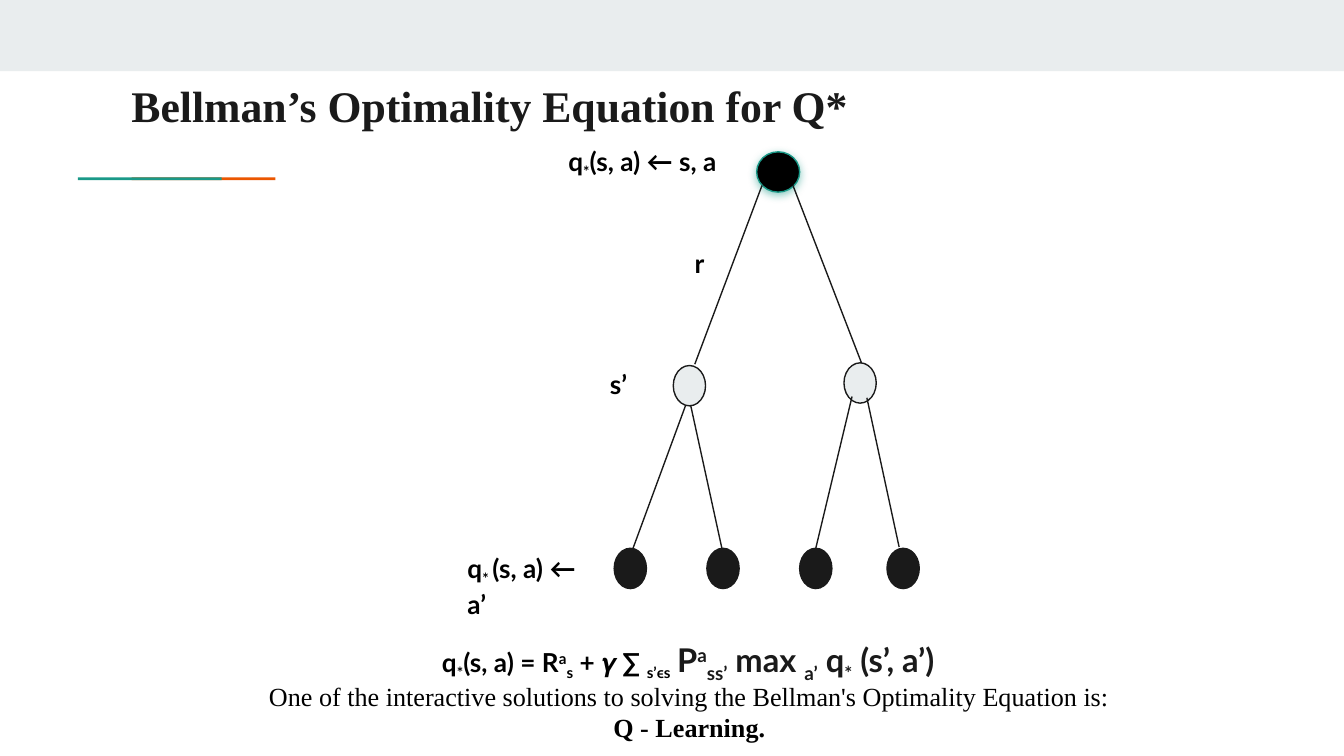
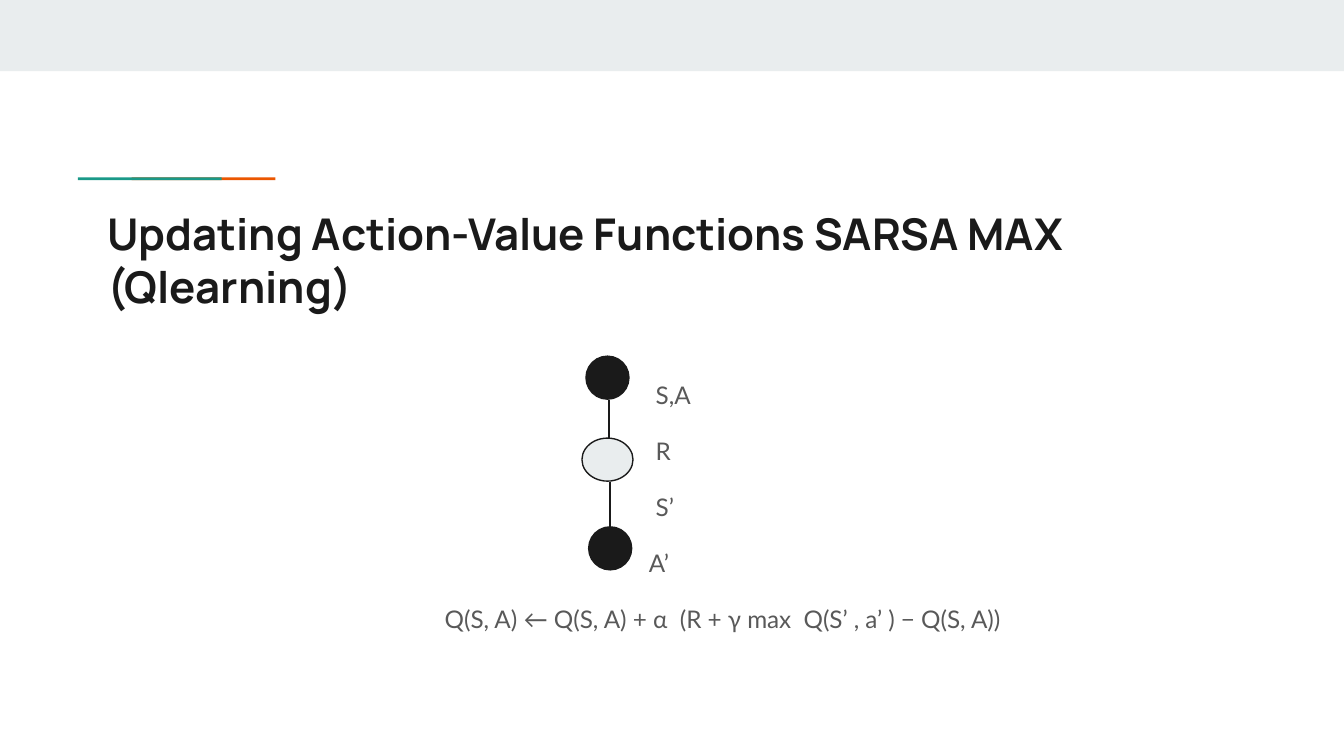
from lxml.etree import SubElement
from pptx import Presentation
from pptx.dml.color import RGBColor
from pptx.enum.shapes import MSO_CONNECTOR, MSO_SHAPE
from pptx.enum.text import PP_ALIGN
from pptx.oxml import parse_xml
from pptx.oxml.ns import nsdecls, qn
from pptx.util import Inches, Pt

WHITE = RGBColor(0xFF, 0xFF, 0xFF)
BLACK = RGBColor(0x00, 0x00, 0x00)
INK = RGBColor(0x1A, 0x1A, 0x1A)
GREY = RGBColor(0x59, 0x59, 0x59)
MIST = RGBColor(0xE9, 0xED, 0xEE)
TEAL = RGBColor(0x1A, 0x99, 0x88)
ORANGE = RGBColor(0xEB, 0x56, 0x00)
SANS, SERIF, DISPLAY = "Lato", "Times New Roman", "Manrope"
SUB, SUPER = -25, 30


def add_block(page, kind, box, fill, line=None):
    """Add a filled preset shape without a shadow."""
    shape = page.shapes.add_shape(kind, *map(Inches, box))
    shape.shadow.inherit = False
    shape.fill.solid()
    shape.fill.fore_color.rgb = fill
    if line is None:
        shape.line.fill.background()
    else:
        shape.line.color.rgb = line
        shape.line.width = Pt(0.75)
    return shape


def add_line(page, start, end, origin, width=0.75):
    """Add a straight line between two points relative to the origin."""
    points = [Inches(base + offset) for point in (start, end)
              for base, offset in zip(origin, point)]
    line = page.shapes.add_connector(MSO_CONNECTOR.STRAIGHT, *points)
    line.line.color.rgb = INK
    line.line.width = Pt(width)
    SubElement(line._element.spPr, qn("a:effectLst"))


def add_frame(page, box):
    """Add a wrapping text box with even insets and return its text frame."""
    frame = page.shapes.add_textbox(*map(Inches, box)).text_frame
    frame.word_wrap = True
    frame.margin_left = frame.margin_right = Inches(0.1)
    frame.margin_top = frame.margin_bottom = Inches(0.1)
    return frame


def add_span(para, text, size=14, font=SANS, color=BLACK, bold=True, baseline=0):
    """Append one formatted run to a paragraph."""
    span = para.add_run()
    span.text = text
    span.font.size = Pt(size)
    span.font.name = font
    span.font.bold = bold
    span.font.color.rgb = color
    if baseline:
        span._r.get_or_add_rPr().set("baseline", str(baseline * 1000))


def add_formula(para, parts, **style):
    """Append runs given as pairs of text and baseline shift."""
    for text, baseline in parts:
        add_span(para, text, baseline=baseline, **style)


def add_page(deck, title, box, font):
    """Add a slide with the top band, the two-colour accent and a title."""
    page = deck.slides.add_slide(deck.slide_layouts[6])
    page.background.fill.solid()
    page.background.fill.fore_color.rgb = WHITE
    add_block(page, MSO_SHAPE.RECTANGLE, (0, 0, 10, 0.53), MIST)
    for left, color in ((0.98, ORANGE), (0.58, TEAL)):
        add_block(page, MSO_SHAPE.RECTANGLE, (left, 1.32, 1.07, 0.02), color)
    para = add_frame(page, box).paragraphs[0]
    add_span(para, title, 23.4, font, INK)
    return page


def add_glow(shape):
    """Give a shape a soft teal shadow below it."""
    effects = shape._element.spPr.find(qn("a:effectLst"))
    effects.append(parse_xml(
        f'<a:outerShdw {nsdecls("a")} blurRad="57150" dist="19050" dir="5400000" '
        f'algn="bl" rotWithShape="0"><a:srgbClr val="{TEAL}">'
        '<a:alpha val="50000"/></a:srgbClr></a:outerShdw>'))


def add_backup_tree(page, origin):
    """Draw the root, the two states and the four actions from the origin."""
    left, top = origin

    def node(x, y, fill, line=INK, width=0.24):
        """Add one round node."""
        box = (left + x, top + y, width, 0.3)
        return add_block(page, MSO_SHAPE.FLOWCHART_CONNECTOR, box, fill, line)

    add_glow(node(1.06, 0, BLACK, TEAL, 0.32))
    for x, y in ((0.44, 1.59), (1.71, 1.57)):
        node(x, y, MIST)
    edges = (((1.1, 0.25), (0.6, 1.58)), ((1.33, 0.25), (1.84, 1.57)),
             ((0.53, 1.89), (0.14, 2.95)), ((0.57, 1.89), (0.81, 2.99)),
             ((1.77, 1.82), (1.5, 2.95)), ((1.88, 1.83), (2.12, 2.94)))
    for start, end in edges:
        add_line(page, start, end, origin)
    for x in (0, 0.69, 1.38, 2.03):
        node(x, 2.95, INK)


def add_tree_labels(page, origin):
    """Name the levels of the tree beside its left edge."""
    labels = (
        ((0.75, 0, 1.41, 0.44), (("q", 0), ("*", SUB), ("(s, a) ← s, a", 0))),
        ((1.69, 0.76, 0.48, 0.44), (("r", 0),)),
        ((1.06, 1.66, 0.5, 0.44), (("s’", 0),)),
        ((0, 3.03, 1.14, 0.44), (("q", 0), ("* ", SUB), ("(s, a) ← a’", 0))),
    )
    for (x, y, width, height), parts in labels:
        frame = add_frame(page, (origin[0] + x, origin[1] + y, width, height))
        add_formula(frame.paragraphs[0], parts)


def add_optimality_equation(page, box):
    """Write the equation for the optimal action value."""
    para = add_frame(page, box).paragraphs[0]
    add_formula(para, (("q", 0), ("*", SUB), ("(s, a) = R", 0), ("a", SUPER),
                       ("s", SUB), (" + 𝜸 ∑ ", 0), ("s’ϵs", SUB), (" ", 0)))
    add_formula(para, (("P", 0), ("a", SUPER), ("ss’", SUB), (" max ", 0),
                       ("a’", SUB), (" q", 0), ("*", SUB), (" (s’, a’)", 0)),
                size=17.5, color=INK)


def add_closing_note(page, box):
    """Write the centred remark at the foot of the slide."""
    frame = add_frame(page, box)
    first, second = frame.paragraphs[0], frame.add_paragraph()
    first.alignment = second.alignment = PP_ALIGN.CENTER
    add_span(first, "One of the interactive solutions to solving the Bellman's "
             "Optimality Equation is:", font=SERIF, bold=False)
    add_span(second, "Q - Learning.", font=SERIF)


def add_update_chain(page, origin):
    """Draw the chain of action, state and next action from the origin."""
    left, top = origin
    for x, y, width, fill in ((0.03, 0, 0.32, INK), (0, 0.61, 0.38, MIST),
                              (0.05, 1.27, 0.32, INK)):
        box = (left + x, top + y, width, 0.32)
        add_block(page, MSO_SHAPE.OVAL, box, fill, INK)
    for x, start, end in ((0.2, 0.33, 0.61), (0.21, 0.94, 1.27)):
        add_line(page, (x, start), (x, end), origin, 1.25)


def add_update_text(page, box):
    """Write the chain labels and the update rule as indented lines."""
    frame = add_frame(page, box)
    lines = ((4.24, "S,A"), (4.24, "R"), (4.24, "S’"), (4.19, "A’"),
             (2.67, "Q(S, A) ← Q(S, A) + α  (R + γ max  Q(S’ , a’ ) − Q(S, A))"))
    for index, (indent, text) in enumerate(lines):
        para = frame.add_paragraph() if index else frame.paragraphs[0]
        para.line_spacing = 1.15
        para.space_before = Pt(12 if index else 0)
        para._p.get_or_add_pPr().set("marL", str(Inches(indent)))
        add_span(para, text, 13, color=GREY, bold=False)


def build_optimality_page(deck):
    """Build the slide on the optimality equation."""
    page = add_page(deck, "Bellman’s Optimality Equation for Q*",
                    (0.88, 0.49, 9.89, 0.54), SERIF)
    add_backup_tree(page, (4.57, 1.13))
    add_tree_labels(page, (3.38, 0.98))
    add_optimality_equation(page, (3.19, 4.66, 4.13, 0.5))
    add_closing_note(page, (0.96, 4.96, 8.34, 0.66))


def build_update_page(deck):
    """Build the slide on the action-value update."""
    page = add_page(deck, "Updating Action-Value Functions SARSA MAX (Qlearning)",
                    (0.7, 1.44, 8.41, 0.91), DISPLAY)
    add_update_text(page, (0.54, 2.7, 8.41, 2.45))
    add_update_chain(page, (4.33, 2.65))


def main():
    """Build and save the deck."""
    deck = Presentation()
    deck.slide_width = Inches(10)
    deck.slide_height = deck.slide_width * 9 // 16
    build_optimality_page(deck)
    build_update_page(deck)
    deck.save("out.pptx")


if __name__ == "__main__":
    main()
